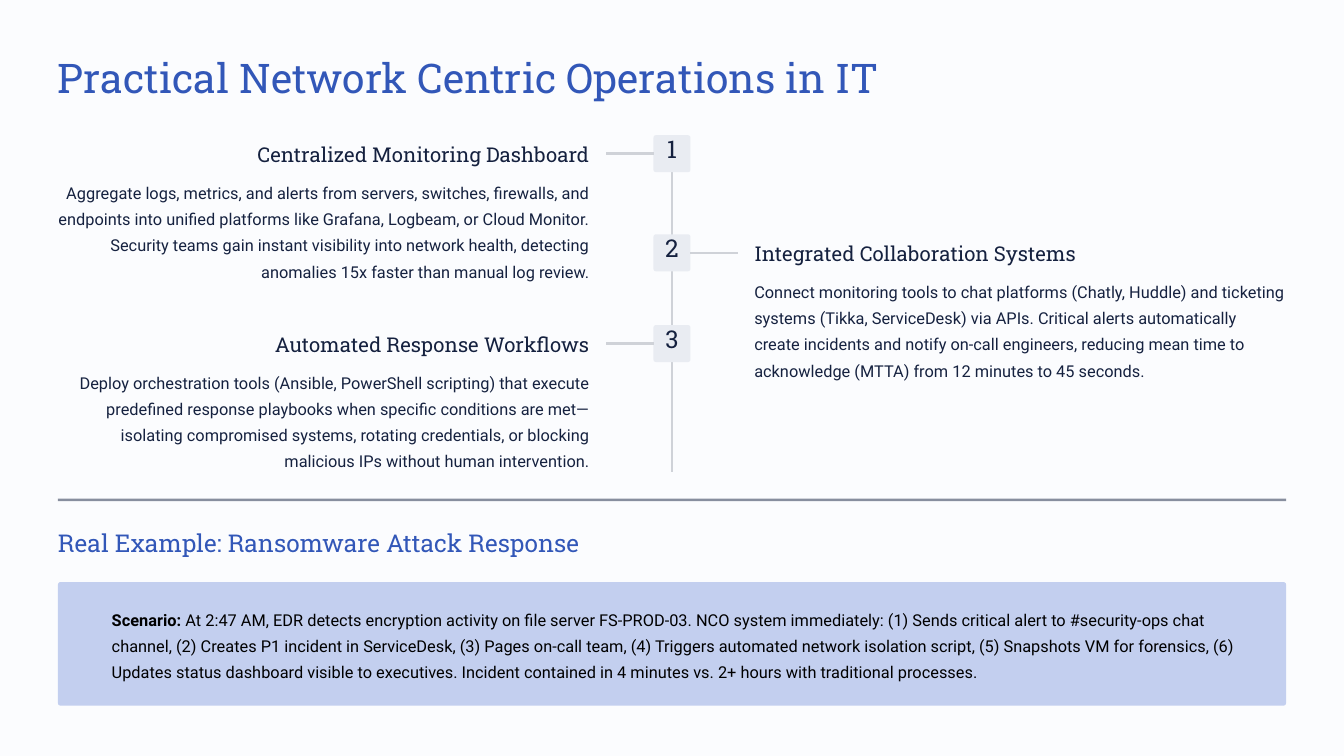
from dataclasses import dataclass

from lxml.etree import SubElement
from pptx import Presentation
from pptx.dml.color import RGBColor
from pptx.enum.shapes import MSO_CONNECTOR, MSO_SHAPE
from pptx.enum.text import PP_ALIGN
from pptx.oxml.ns import qn
from pptx.shapes.autoshape import Shape
from pptx.shapes.connector import Connector
from pptx.slide import Slide
from pptx.util import Emu, Inches, Pt

SLIDE_WIDTH, SLIDE_HEIGHT = Inches(16), Inches(9)
COLUMNS, ROWS = 16, 9

PAPER = RGBColor(0xFB, 0xFC, 0xFE)
BLUE = RGBColor(0x32, 0x57, 0xB8)
NAVY = RGBColor(0x15, 0x21, 0x3F)
BLACK = RGBColor(0, 0, 0)
TRACK = RGBColor(0xCF, 0xD2, 0xD8)
BADGE = RGBColor(0xE9, 0xEC, 0xF2)
PANEL = RGBColor(0xC3, 0xCF, 0xEF)

SERIF, SANS = "Roboto Slab", "Roboto"

MARGIN = 0.69
CONTENT = COLUMNS - 2 * MARGIN
AXIS = COLUMNS / 2
BADGE_SIZE = 0.44
BRANCH = 0.57
TEXT_GAP = 0.98
TEXT_WIDTH = AXIS - TEXT_GAP - MARGIN
TIMELINE_TOP, TIMELINE_END = 1.61, 5.62
DIVIDER = 5.95


@dataclass(frozen=True)
class Step:
    top: float
    on_left: bool
    heading_width: float
    heading: str
    body: str


STEPS = [
    Step(TIMELINE_TOP, True, 4, "Centralized Monitoring Dashboard",
         "Aggregate logs, metrics, and alerts from servers, switches, firewalls, and "
         "endpoints into unified platforms like Grafana, Logbeam, or Cloud Monitor. "
         "Security teams gain instant visibility into network health, detecting "
         "anomalies 15x faster than manual log review."),
    Step(2.79, False, 3.86, "Integrated Collaboration Systems",
         "Connect monitoring tools to chat platforms (Chatly, Huddle) and ticketing "
         "systems (Tikka, ServiceDesk) via APIs. Critical alerts automatically create "
         "incidents and notify on-call engineers, reducing mean time to "
         "acknowledge (MTTA) from 12 minutes to 45 seconds."),
    Step(3.87, True, 3.79, "Automated Response Workflows",
         "Deploy orchestration tools (Ansible, PowerShell scripting) that execute "
         "predefined response playbooks when specific conditions are met—"
         "isolating compromised systems, rotating credentials, or blocking "
         "malicious IPs without human intervention."),
]

SCENARIO = (
    " At 2:47 AM, EDR detects encryption activity on file server FS-PROD-03. "
    "NCO system immediately: (1) Sends critical alert to #security-ops chat "
    "channel, (2) Creates P1 incident in ServiceDesk, (3) Pages on-call team, "
    "(4) Triggers automated network isolation script, (5) Snapshots VM for forensics, "
    "(6) Updates status dashboard visible to executives. Incident contained in "
    "4 minutes vs. 2+ hours with traditional processes."
)


def col(count: float) -> Emu:
    return Emu(round(SLIDE_WIDTH * count / COLUMNS))


def row(count: float) -> Emu:
    return Emu(round(SLIDE_HEIGHT * count / ROWS))


def add_text(slide: Slide, text: str, left: float, top: float, width: float, height: float, *,
             size: float, leading: float, font: str = SERIF, color: RGBColor = NAVY,
             align: PP_ALIGN = PP_ALIGN.LEFT, wrap: bool = False, lead_in: str = "") -> None:
    frame = slide.shapes.add_textbox(col(left), row(top), col(width), row(height)).text_frame
    frame.margin_left = frame.margin_top = frame.margin_right = frame.margin_bottom = 0
    frame.word_wrap = wrap
    paragraph = frame.paragraphs[0]
    paragraph.alignment = align
    paragraph.line_spacing = Pt(leading)
    for words, bold in ((lead_in, True), (text, False)):
        if words:
            run = paragraph.add_run()
            run.text = words
            run.font.name = font
            run.font.size = Pt(size)
            run.font.bold = bold
            run.font.color.rgb = color


def add_block(slide: Slide, left: float, top: float, width: float, height: float,
              color: RGBColor, rounding: float) -> Shape:
    block = slide.shapes.add_shape(MSO_SHAPE.ROUNDED_RECTANGLE,
                                   col(left), row(top), col(width), row(height))
    block.adjustments[0] = rounding
    block.shadow.inherit = False
    block.fill.solid()
    block.fill.fore_color.rgb = color
    block.line.fill.background()
    return block


def add_line(slide: Slide, x1: float, y1: float, x2: float, y2: float,
             color: RGBColor, opacity: int = 100) -> Connector:
    line = slide.shapes.add_connector(MSO_CONNECTOR.STRAIGHT, col(x1), row(y1), col(x2), row(y2))
    line.line.width = Pt(2.2)
    line.line.color.rgb = color
    properties = line.element.spPr
    if opacity < 100:
        tint = properties.find(".//" + qn("a:srgbClr"))
        SubElement(tint, qn("a:alpha")).set("val", str(opacity * 1000))
    SubElement(properties, qn("a:effectLst"))
    return line


def add_step(slide: Slide, number: int, step: Step) -> Shape:
    side = -1 if step.on_left else 1
    align = PP_ALIGN.RIGHT if step.on_left else PP_ALIGN.LEFT
    middle = step.top + BADGE_SIZE / 2
    edge = AXIS + side * BADGE_SIZE / 2
    text_edge = AXIS + side * TEXT_GAP

    badge = add_block(slide, AXIS - BADGE_SIZE / 2, step.top, BADGE_SIZE, BADGE_SIZE, BADGE, 0.067)
    branch = add_line(slide, edge, middle, edge + side * BRANCH, middle, TRACK)
    branch.begin_connect(badge, 1 if step.on_left else 3)
    add_text(slide, str(number), AXIS - 0.15, step.top + 0.04, 0.3, 0.37,
             size=21, leading=21, align=PP_ALIGN.CENTER)
    heading_left = text_edge - step.heading_width if step.on_left else text_edge
    add_text(slide, step.heading, heading_left, step.top + 0.07, step.heading_width, 0.31,
             size=17.5, leading=22, align=align)
    body_left = text_edge - TEXT_WIDTH if step.on_left else text_edge
    add_text(slide, step.body, body_left, step.top + 0.49, TEXT_WIDTH, 1.26,
             size=14, leading=22.5, font=SANS, align=align, wrap=True)
    return badge


def main() -> None:
    deck = Presentation()
    deck.slide_width, deck.slide_height = SLIDE_WIDTH, SLIDE_HEIGHT
    slide = deck.slides.add_slide(deck.slide_layouts[6])
    slide.background.fill.solid()
    slide.background.fill.fore_color.rgb = PAPER

    add_text(slide, "Practical Network Centric Operations in IT", MARGIN, 0.6, 9.88, 0.62,
             size=35, leading=44, color=BLUE)

    spine = add_line(slide, AXIS, TIMELINE_TOP, AXIS, TIMELINE_END, TRACK)
    badges = [add_step(slide, number, step) for number, step in enumerate(STEPS, 1)]
    spine.begin_connect(badges[0], 0)

    add_line(slide, MARGIN, DIVIDER, MARGIN + CONTENT, DIVIDER, NAVY, opacity=50)
    add_text(slide, "Real Example: Ransomware Attack Response", MARGIN, 6.27, 6.28, 0.37,
             size=21, leading=26.5, color=BLUE)
    add_block(slide, MARGIN, 6.93, CONTENT, 1.47, PANEL, 0.02)
    add_text(slide, SCENARIO, 1.33, 7.18, 13.79, 0.94, size=14, leading=22.5,
             font=SANS, color=BLACK, wrap=True, lead_in="Scenario:")

    deck.save("out.pptx")


if __name__ == "__main__":
    main()
